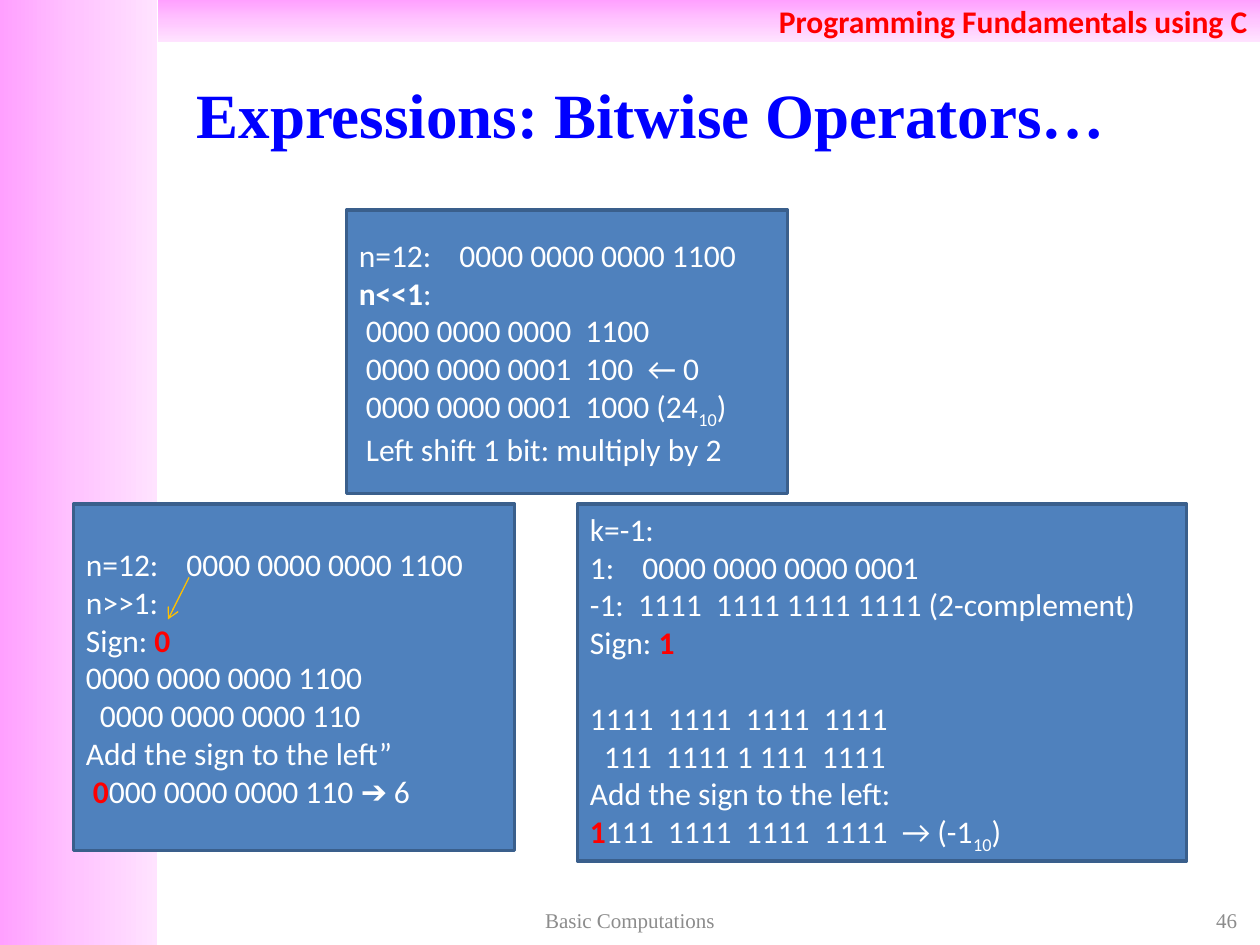
"""Builds the slide on bitwise shift operators with its three worked examples."""
from copy import deepcopy

from lxml.etree import SubElement
from pptx import Presentation
from pptx.dml.color import RGBColor
from pptx.enum.shapes import MSO_CONNECTOR, MSO_SHAPE
from pptx.enum.text import MSO_ANCHOR, PP_ALIGN
from pptx.oxml.ns import qn
from pptx.util import Pt

WHITE = RGBColor(0xFF, 0xFF, 0xFF)
RED = RGBColor(0xFF, 0x00, 0x00)
BLUE = RGBColor(0x00, 0x00, 0xFF)
GRAY = RGBColor(0x8C, 0x8C, 0x8C)
PANEL = RGBColor(0x4F, 0x81, 0xBD)
BORDER = RGBColor(0x3A, 0x5F, 0x8C)
AMBER = RGBColor(0xFF, 0xC0, 0x00)
PINKS = (RGBColor(0xFF, 0xA0, 0xFF), RGBColor(0xFF, 0xC5, 0xFF), RGBColor(0xFF, 0xE3, 0xFF))


def add_span(para, text, font="Calibri", size=18, color=WHITE, bold=False, baseline=0):
    span = para.add_run()
    span.text = text
    span.font.name = font
    span.font.size = Pt(size)
    span.font.color.rgb = color
    span.font.bold = bold
    if baseline:
        span.font._element.set("baseline", str(baseline * 1000))


def line(*spans, indent=0, tab=0, before=0):
    return {"spans": spans, "indent": indent, "tab": tab, "before": before}


def bold(text, color=WHITE):
    return text, {"bold": True, "color": color}


def subscript(text):
    return text, {"baseline": -25}


class SlideBuilder:
    def __init__(self, slide):
        self.slide = slide
        self.serif = "Times New Roman"

    def rectangle(self, left, top, width, height):
        box = self.slide.shapes.add_shape(
            MSO_SHAPE.RECTANGLE, Pt(left), Pt(top), Pt(width), Pt(height))
        box.shadow.inherit = False
        box.text_frame.word_wrap = True
        box.text_frame.vertical_anchor = MSO_ANCHOR.MIDDLE
        return box

    def band(self, left, top, width, height, angle):
        box = self.rectangle(left, top, width, height)
        box.line.fill.background()
        box.fill.gradient()
        box.fill.gradient_angle = angle
        first = box.fill._xPr.find(qn("a:gradFill")).find(qn("a:gsLst"))[0]
        first.addnext(deepcopy(first))
        for index, (stop, color) in enumerate(zip(box.fill.gradient_stops, PINKS)):
            stop.position = index / 2
            stop.color.rgb = color
        return box

    def title(self, text, left, top, width, height):
        box = self.slide.shapes.title
        box.left, box.top, box.width, box.height = Pt(left), Pt(top), Pt(width), Pt(height)
        box.text_frame.vertical_anchor = MSO_ANCHOR.MIDDLE
        para = box.text_frame.paragraphs[0]
        para.alignment = PP_ALIGN.CENTER
        add_span(para, text, font=self.serif, size=36, color=BLUE, bold=True)

    def footer(self, text, left, width, alignment):
        box = self.slide.shapes.add_textbox(Pt(left), Pt(516), Pt(width), Pt(19.5))
        box.text_frame.word_wrap = True
        box.text_frame.vertical_anchor = MSO_ANCHOR.MIDDLE
        para = box.text_frame.paragraphs[0]
        para.alignment = alignment
        add_span(para, text, font=self.serif, size=12, color=GRAY)

    def panel(self, left, top, width, height, lines):
        box = self.rectangle(left, top, width, height)
        box.fill.solid()
        box.fill.fore_color.rgb = PANEL
        box.line.color.rgb = BORDER
        box.line.width = Pt(2)
        frame = box.text_frame
        for index, content in enumerate(lines):
            para = frame.add_paragraph() if index else frame.paragraphs[0]
            para.alignment = PP_ALIGN.LEFT
            para.space_before = Pt(content["before"])
            properties = para._p.get_or_add_pPr()
            properties.set("marL", str(Pt(content["indent"])))
            if content["tab"]:
                tabs = SubElement(properties, qn("a:tabLst"))
                SubElement(tabs, qn("a:tab"), pos=str(Pt(content["tab"])), algn="l")
            for span in content["spans"]:
                text, style = (span, {}) if isinstance(span, str) else span
                add_span(para, text, **style)

    def arrow(self, start, end):
        connector = self.slide.shapes.add_connector(
            MSO_CONNECTOR.STRAIGHT, *map(Pt, start + end))
        connector.line.color.rgb = AMBER
        connector.line.width = Pt(0.75)
        SubElement(connector.line._get_or_add_ln(), qn("a:tailEnd"), type="arrow")
        SubElement(connector._element.spPr, qn("a:effectLst"))


def main():
    deck = Presentation()
    deck.slide_width, deck.slide_height = Pt(720), Pt(540)
    page = SlideBuilder(deck.slides.add_slide(deck.slide_layouts[5]))

    page.band(0, 0, 90, 540, 0)
    header = page.band(90, 0, 630, 24, 270).text_frame.paragraphs[0]
    header.alignment = PP_ALIGN.RIGHT
    add_span(header, "Programming Fundamentals using C", color=RED, bold=True)
    page.title("Expressions: Bitwise Operators…", 60, 21.6, 624, 86.4)

    twelve = line("n=12:\t0000 0000 0000 1100", tab=57.5)
    page.panel(42, 288, 252, 198, [
        twelve,
        line("n>>1:"),
        line("Sign: ", bold("0", RED)),
        line("0000 0000 0000 1100"),
        line("0000 0000 0000 110", indent=8),
        line("Add the sign to the left”"),
        line(bold("0", RED), "000 0000 0000 110 ➔ 6", indent=4),
    ])
    page.panel(330, 288, 348, 204, [
        line("k=-1:"),
        line("1:\t0000 0000 0000 0001", tab=30),
        line("-1:  1111  1111 1111 1111 (2-complement)"),
        line("Sign: ", bold("1", RED)),
        line("1111  1111  1111  1111", before=21.6),
        line("111  1111 1 111  1111", indent=8),
        line("Add the sign to the left:"),
        line(bold("1", RED), "111  1111  1111  1111  → (-1", subscript("10"), ")"),
    ])
    page.arrow((108, 330), (96, 354))
    page.panel(198, 120, 252, 162, [
        twelve,
        line(bold("n<<1"), ":"),
        line("0000 0000 0000  1100", indent=4),
        line("0000 0000 0001  100  ← 0", indent=4),
        line("0000 0000 0001  1000 (24", subscript("10"), ")", indent=4),
        line("Left shift 1 bit: multiply by 2", indent=4),
    ])
    page.footer("46", 546, 168, PP_ALIGN.RIGHT)
    page.footer("Basic Computations", 246, 228, PP_ALIGN.CENTER)
    deck.save("out.pptx")


if __name__ == "__main__":
    main()
